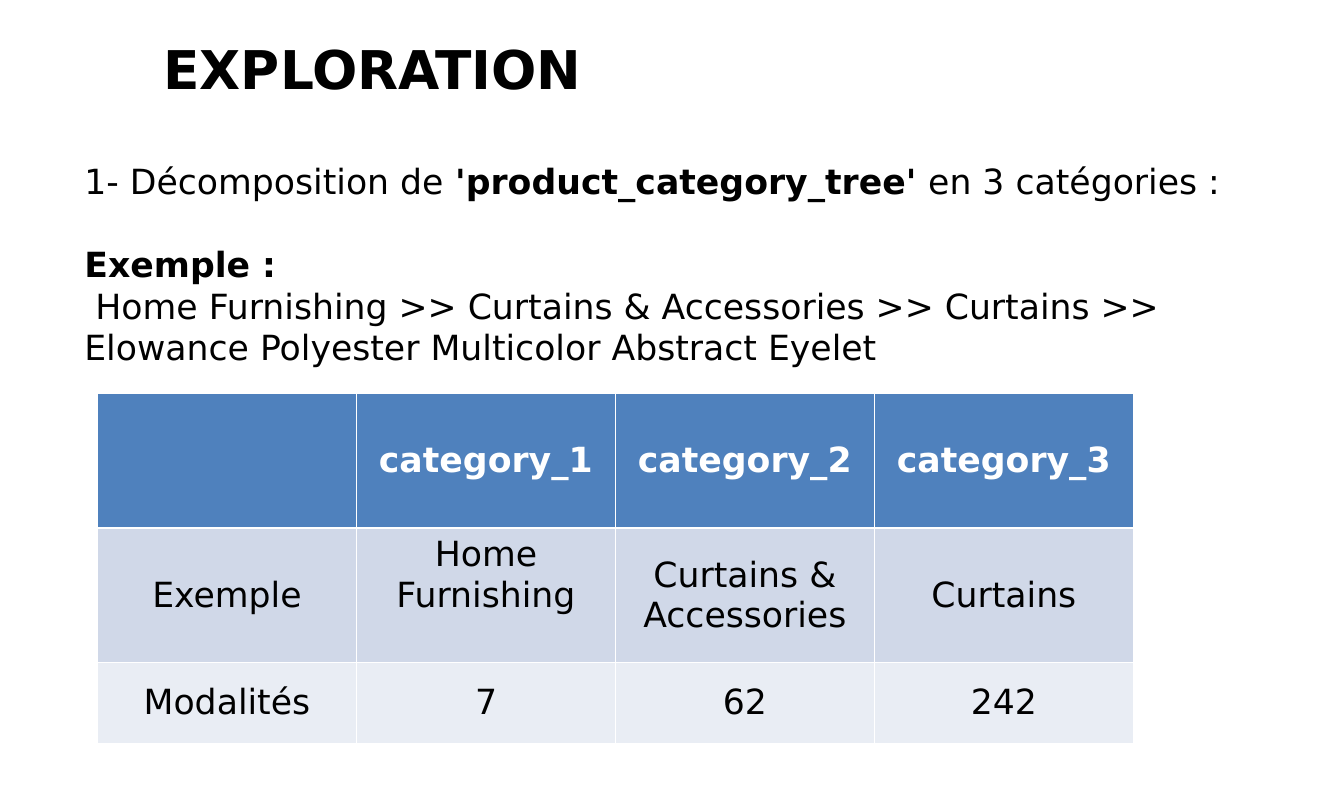
from dataclasses import dataclass

from lxml.etree import SubElement as Sub
from pptx import Presentation
from pptx.dml.color import RGBColor as RGB
from pptx.enum.text import MSO_ANCHOR as Anchor, PP_ALIGN as Align
from pptx.oxml.ns import qn
from pptx.util import Pt


@dataclass(frozen=True)
class Theme:
    font: str = "DejaVu Sans"
    ink: str = "000000"
    white: str = "FFFFFF"
    fills: tuple = ("4F81BD", "D0D8E8", "E9EDF4")
    title: int = 40
    body: int = 26
    thin: float = 0.45
    thick: float = 1.47


def write(para, text, *, theme, size, color, bold=False, align=Align.LEFT,
          line=None, before=0, indent=0):
    """Fill a paragraph; text between ** marks switches bold."""
    para.alignment = align
    para.space_before = Pt(before)
    if line:
        para.line_spacing = line
    if indent:
        para._p.get_or_add_pPr().set("indent", str(Pt(indent)))
    for i, part in enumerate(text.split("**")):
        if part:
            run = para.add_run()
            run.text = part
            font = run.font
            font.name, font.size = theme.font, Pt(size)
            font.bold = bold or i % 2 == 1
            font.color.rgb = RGB.from_string(color)


def border(cell, side, width, color):
    props = cell._tc.get_or_add_tcPr()
    line = Sub(props, qn(f"a:ln{side}"), w=str(Pt(width)))
    fill = Sub(line, qn("a:solidFill"))
    Sub(fill, qn("a:srgbClr"), val=color)


class Deck:
    def __init__(self, theme, width, height):
        self.theme = theme
        self.prs = Presentation()
        self.prs.slide_width, self.prs.slide_height = Pt(width), Pt(height)
        self.slide = self.prs.slides.add_slide(self.prs.slide_layouts[6])

    def text(self, box, paras, size, **style):
        """Add a text box; each paragraph is its text and its own format."""
        frame = self.slide.shapes.add_textbox(*map(Pt, box)).text_frame
        frame.word_wrap = True
        for i, (text, extra) in enumerate(paras):
            para = frame.add_paragraph() if i else frame.paragraphs[0]
            write(para, text, theme=self.theme, size=size,
                  color=self.theme.ink, **style, **extra)

    def table(self, left, top, width, heights, rows):
        t = self.theme
        count = len(rows[0])
        shape = self.slide.shapes.add_table(
            len(rows), count, Pt(left), Pt(top), Pt(width), Pt(sum(heights)))
        grid = shape.table
        for col in grid.columns:
            col.width = Pt(width / count)
        for r, (height, row) in enumerate(zip(heights, rows)):
            grid.rows[r].height = Pt(height)
            for c, text in enumerate(row):
                cell = grid.cell(r, c)
                cell.vertical_anchor = Anchor.MIDDLE
                write(cell.text_frame.paragraphs[0], text, theme=t,
                      size=t.body, color=t.ink if r else t.white,
                      bold=r == 0, align=Align.CENTER)
                for side in "LRTB":
                    head = (r, side) in ((0, "B"), (1, "T"))
                    border(cell, side, t.thick if head else t.thin, t.white)
                cell.fill.solid()
                cell.fill.fore_color.rgb = RGB.from_string(t.fills[r])
        return grid


def main():
    theme = Theme()
    deck = Deck(theme, 1008, 595.44)
    deck.text((115.6, -0.7, 340, 60), [("EXPLORATION", {})], theme.title,
              bold=True, line=1.5)
    deck.text((56.2, 116.6, 914.4, 194.4), [
        ("1- Décomposition de **'product_category_tree'** en 3 catégories :", {}),
        ("**Exemple :**", {"before": 31}),
        ("Home Furnishing >> Curtains & Accessories >> Curtains >> "
         "Elowance Polyester Multicolor Abstract Eyelet", {"indent": 8.3}),
    ], theme.body)
    grid = deck.table(73.2, 295.2, 777, (100.8, 100.8, 60.5), [
        ("", "category_1", "category_2", "category_3"),
        ("Exemple", "Home Furnishing", "Curtains & Accessories", "Curtains"),
        ("Modalités", "7", "62", "242"),
    ])
    grid.cell(1, 1).margin_bottom = Pt(34)
    deck.prs.save("out.pptx")


if __name__ == "__main__":
    main()
